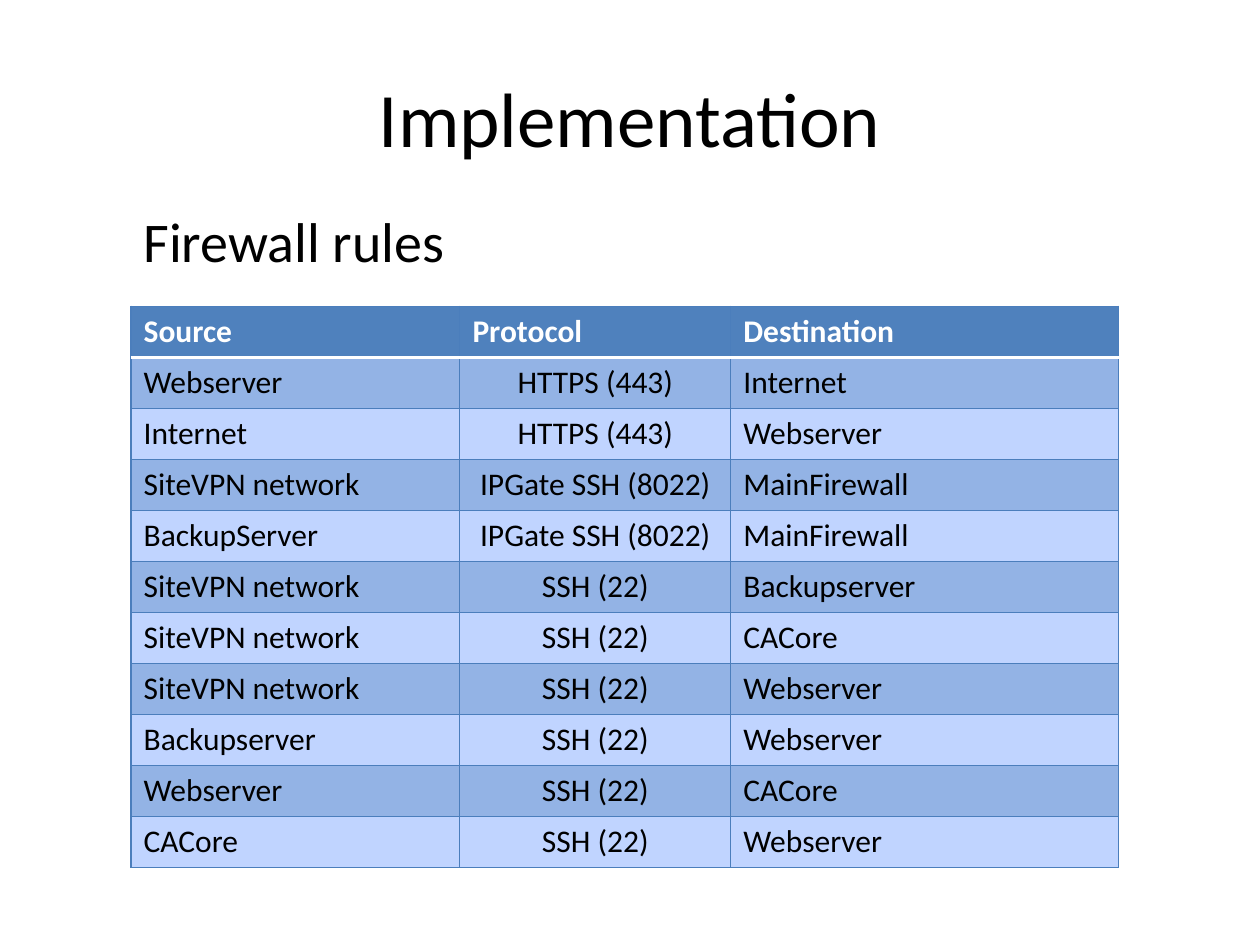
from lxml import etree
from pptx import Presentation
from pptx.dml.color import RGBColor
from pptx.enum.text import MSO_ANCHOR, PP_ALIGN
from pptx.oxml.ns import qn
from pptx.util import Inches, Pt

LEFT, CENTER = PP_ALIGN.LEFT, PP_ALIGN.CENTER
TOP, MIDDLE = MSO_ANCHOR.TOP, MSO_ANCHOR.MIDDLE

FONT = "Calibri"
COLORS = {
    "text": "000000",
    "white": "FFFFFF",
    "header": "4F81BD",
    "dark_band": "93B3E5",
    "light_band": "C0D4FF",
    "border": "4B7EBC",
}
COLUMN_WIDTHS = [2.61, 2.15, 3.08]
HEADER = ("Source", "Protocol", "Destination")
RULES = [
    ("Webserver", "HTTPS (443)", "Internet"),
    ("Internet", "HTTPS (443)", "Webserver"),
    ("SiteVPN network", "IPGate SSH (8022)", "MainFirewall"),
    ("BackupServer", "IPGate SSH (8022)", "MainFirewall"),
    ("SiteVPN network", "SSH (22)", "Backupserver"),
    ("SiteVPN network", "SSH (22)", "CACore"),
    ("SiteVPN network", "SSH (22)", "Webserver"),
    ("Backupserver", "SSH (22)", "Webserver"),
    ("Webserver", "SSH (22)", "CACore"),
    ("CACore", "SSH (22)", "Webserver"),
]


def write(tf, text, size, color="text", align=LEFT, bold=False):
    """Put one formatted paragraph into a text frame."""
    p = tf.paragraphs[0]
    p.text = text
    p.alignment = align
    p.font.name = FONT
    p.font.size = Pt(size)
    p.font.bold = bold
    p.font.color.rgb = RGBColor.from_string(COLORS[color])


def add_text(s, text, box, size, align=LEFT, anchor=TOP, wrap=True):
    """Add a text box at (left, top, width, height) in inches."""
    tf = s.shapes.add_textbox(*map(Inches, box)).text_frame
    tf.word_wrap = wrap
    tf.vertical_anchor = anchor
    write(tf, text, size, align=align)


def add_border(cell, side, color, width):
    """Draw one cell edge; side is L, R, T or B."""
    ln = etree.SubElement(cell._tc.get_or_add_tcPr(), qn(f"a:ln{side}"), w=str(Pt(width)))
    fill = etree.SubElement(ln, qn("a:solidFill"))
    etree.SubElement(fill, qn("a:srgbClr"), val=COLORS[color])


def format_cell(cell, text, row, column):
    """Write, outline and fill a cell according to its place in the table."""
    is_header = row == 0
    if is_header:
        fill = "header"
    else:
        fill = "dark_band" if row % 2 else "light_band"
    write(
        cell.text_frame,
        text,
        18,
        color="white" if is_header else "text",
        align=CENTER if column == 1 and not is_header else LEFT,
        bold=is_header,
    )
    for side in "LRTB":
        under_header = (row, side) in ((0, "B"), (1, "T"))
        add_border(cell, side, *(("white", 2) if under_header else ("border", 0.75)))
    cell.fill.solid()
    cell.fill.fore_color.rgb = RGBColor.from_string(COLORS[fill])


def add_rules_table(s, box):
    """Add the firewall rules table with its header row."""
    rows = [HEADER] + RULES
    table = s.shapes.add_table(len(rows), len(HEADER), *map(Inches, box)).table
    for column, width in zip(table.columns, COLUMN_WIDTHS):
        column.width = Inches(width)
    for i, row in enumerate(rows):
        for j, text in enumerate(row):
            format_cell(table.cell(i, j), text, i, j)


def main():
    """Build and save the slide."""
    prs = Presentation()
    prs.slide_width, prs.slide_height = Inches(10), Inches(7.5)
    s = prs.slides.add_slide(prs.slide_layouts[6])
    add_text(s, "Implementation", (0.5, 0.3, 9, 1.25), 44, CENTER, MIDDLE)
    add_rules_table(s, (1.04, 2.43, sum(COLUMN_WIDTHS), 4.46))
    add_text(s, "Firewall rules", (1.04, 1.59, 2.63, 0.64), 32, wrap=False)
    prs.save("out.pptx")


if __name__ == "__main__":
    main()
